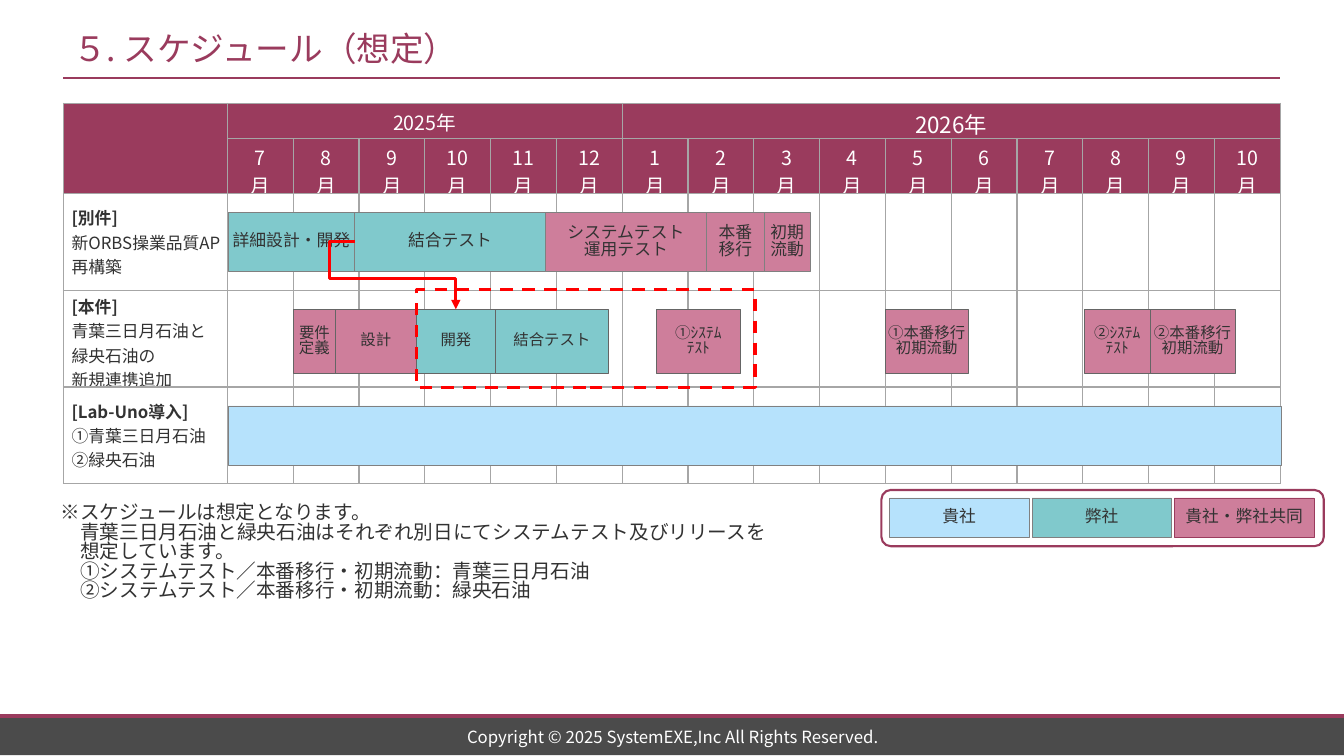
from lxml.etree import SubElement
from pptx import Presentation
from pptx.dml.color import RGBColor
from pptx.enum.dml import MSO_LINE
from pptx.enum.shapes import MSO_CONNECTOR, MSO_SHAPE
from pptx.enum.text import MSO_ANCHOR, PP_ALIGN
from pptx.oxml.ns import qn
from pptx.util import Pt

FONT = "Noto Sans CJK JP"
WINE, ROSE, TEAL, SKY = "9A3B5D", "CE7E9B", "80C9CC", "B6E2FC"
INK, GRAY, WHITE, RED = "323232", "808080", "FFFFFF", "FF0000"


def rgb(value):
    return RGBColor.from_string(value)


def write(tf, text, size=12, color=INK, align=PP_ALIGN.CENTER, spacing=None,
          bold_first=False, hang=0):
    for i, line in enumerate(text.split("\n")):
        p = tf.paragraphs[0] if i == 0 else tf.add_paragraph()
        p.alignment = align
        p.line_spacing = spacing
        if hang and i:
            p._p.get_or_add_pPr().set("marL", str(Pt(hang)))
        for j, part in enumerate(line.split("\v")):
            if j:
                p.add_line_break()
            r = p.add_run()
            r.text = part
            r.font.size = Pt(size)
            r.font.bold = bold_first and i == 0
            r.font.color.rgb = rgb(color)
            r.font.name = FONT
            SubElement(r._r.get_or_add_rPr(), qn("a:ea"), typeface=FONT)


prs = Presentation()
prs.slide_width, prs.slide_height = Pt(960), Pt(540)
s = prs.slides.add_slide(prs.slide_layouts[6])

footer = s.shapes.add_shape(MSO_SHAPE.RECTANGLE, Pt(0), Pt(511.5), Pt(960), Pt(28))
footer.shadow.inherit = False
footer.fill.solid()
footer.fill.fore_color.rgb = rgb("4B4B4B")
footer.line.fill.background()

for x1, x2, y, width in [(0, 960, 511.6, 2.75), (45.3, 914.4, 55.9, 1.5)]:
    rule = s.shapes.add_connector(MSO_CONNECTOR.STRAIGHT, Pt(x1), Pt(y), Pt(x2), Pt(y))
    rule.line.color.rgb = rgb(WINE)
    rule.line.width = Pt(width)
    SubElement(rule._element.spPr, qn("a:effectLst"))

title = s.shapes.add_textbox(Pt(45.3), Pt(14.4), Pt(869), Pt(39.6))
title.text_frame.word_wrap = False
title.text_frame.vertical_anchor = MSO_ANCHOR.MIDDLE
write(title.text_frame, "５. スケジュール（想定）", size=24, color=WINE, align=PP_ALIGN.LEFT)

MONTHS = [7, 8, 9, 10, 11, 12, 1, 2, 3, 4, 5, 6, 7, 8, 9, 10]
LABELS = [
    "[別件]\n新ORBS操業品質AP\n再構築",
    "[本件]\n青葉三日月石油と\n緑央石油の\n新規連携追加",
    "[Lab-Uno導入]\n①青葉三日月石油\n②緑央石油",
]
table = s.shapes.add_table(5, 17, Pt(45.4), Pt(73.8), Pt(869), Pt(270.8)).table
table.first_row = table.horz_banding = False
for i, col in enumerate(table.columns):
    col.width = Pt(47 if i else 117)
for row, height in zip(table.rows, [25.2, 38.3, 69.1, 69.1, 69.1]):
    row.height = Pt(height)
for i in range(5):
    for j in range(17):
        cell = table.cell(i, j)
        cell.vertical_anchor = MSO_ANCHOR.MIDDLE
        cell.margin_left = Pt(5.7 if i > 1 and j == 0 else 0)
        cell.margin_right = Pt(0)
        cell.margin_top = cell.margin_bottom = Pt(2.8)
        for side in ("a:lnL", "a:lnR", "a:lnT", "a:lnB"):
            ln = SubElement(cell._tc.get_or_add_tcPr(), qn(side), w=str(Pt(1)))
            SubElement(SubElement(ln, qn("a:solidFill")), qn("a:srgbClr"), val="A6A6A6")
        if i < 2:
            cell.fill.solid()
            cell.fill.fore_color.rgb = rgb(WINE)
        else:
            cell.fill.background()
table.cell(0, 0).merge(table.cell(1, 0))
table.cell(0, 1).merge(table.cell(0, 6))
table.cell(0, 7).merge(table.cell(0, 16))
write(table.cell(0, 1).text_frame, "2025年", size=14, color=WHITE)
write(table.cell(0, 7).text_frame, "2026年", size=16, color=WHITE)
for j, month in enumerate(MONTHS, 1):
    write(table.cell(1, j).text_frame, f"{month}\n月", size=14, color=WHITE)
for i, label in enumerate(LABELS, 2):
    write(table.cell(i, 0).text_frame, label, align=PP_ALIGN.LEFT, bold_first=True)

notes = s.shapes.add_textbox(Pt(36.2), Pt(356.4), Pt(608.4), Pt(137.5))
notes.text_frame.word_wrap = True
write(notes.text_frame,
      "※スケジュールは想定となります。\n"
      "青葉三日月石油と緑央石油はそれぞれ別日にてシステムテスト及びリリースを\v"
      "想定しています。\v"
      "①システムテスト／本番移行・初期流動：青葉三日月石油\n"
      "②システムテスト／本番移行・初期流動：緑央石油",
      size=14, align=PP_ALIGN.LEFT, spacing=0.83, hang=14)

copyright_box = s.shapes.add_textbox(Pt(239.8), Pt(517.7), Pt(481.7), Pt(17.3))
copyright_box.text_frame.word_wrap = True
copyright_box.text_frame.vertical_anchor = MSO_ANCHOR.MIDDLE
write(copyright_box.text_frame, "Copyright © 2025 SystemEXE,Inc All Rights Reserved.", color=WHITE)

BARS = [
    (MSO_SHAPE.PENTAGON, 355.7, 28, 12, [
        (635.4, 99.6, SKY, GRAY, "貴社"),
        (737.2, 99.6, TEAL, GRAY, "弊社"),
        (838.9, 99.6, ROSE, WINE, "貴社・弊社共同")]),
    (MSO_SHAPE.RECTANGLE, 151.7, 42.2, 12, [
        (163, 90.4, TEAL, GRAY, "詳細設計・開発"),
        (253.4, 136.2, TEAL, GRAY, "結合テスト"),
        (389.6, 115, ROSE, GRAY, "システムテスト\n運用テスト"),
        (504.6, 41.4, ROSE, GRAY, "本番\n移行"),
        (546, 32.6, ROSE, GRAY, "初期\n流動")]),
    (MSO_SHAPE.RECTANGLE, 221, 45.7, 11, [
        (209.5, 30.2, ROSE, "656565", "要件定義"),
        (239.7, 57.7, ROSE, "656565", "設計"),
        (297.4, 56.6, TEAL, "656565", "開発"),
        (354, 80.6, TEAL, "656565", "結合テスト"),
        (468.8, 60.2, ROSE, "656565", "①ｼｽﾃﾑ\nﾃｽﾄ"),
        (632.4, 59.2, ROSE, "656565", "①本番移行\n初期流動"),
        (774.6, 47, ROSE, "656565", "②ｼｽﾃﾑ\nﾃｽﾄ"),
        (821.6, 60.6, ROSE, "656565", "②本番移行\n初期流動")]),
    (MSO_SHAPE.PENTAGON, 289.9, 42.5, 12, [(163, 752.3, SKY, GRAY, "")]),
]
for kind, top, height, size, bars in BARS:
    for left, width, fill, line, text in bars:
        sp = s.shapes.add_shape(kind, Pt(left), Pt(top), Pt(width), Pt(height))
        if kind == MSO_SHAPE.PENTAGON:
            sp.adjustments[0] = 0
        sp.shadow.inherit = False
        sp.fill.solid()
        sp.fill.fore_color.rgb = rgb(fill)
        sp.line.color.rgb = rgb(line)
        sp.line.width = Pt(0.5)
        tf = sp.text_frame
        tf.word_wrap = True
        tf.vertical_anchor = MSO_ANCHOR.MIDDLE
        tf.margin_left = tf.margin_right = Pt(0)
        tf.margin_top = tf.margin_bottom = Pt(2.8)
        if text:
            write(tf, text, size=size, spacing=0.83)

arrow = s.shapes.add_connector(MSO_CONNECTOR.ELBOW, Pt(253.4), Pt(172.8), Pt(325.6), Pt(221))
arrow.line.color.rgb = rgb(RED)
arrow.line.width = Pt(2.25)
SubElement(arrow.line._get_or_add_ln(), qn("a:tailEnd"), type="triangle")
geom = arrow._element.spPr.find(qn("a:prstGeom"))
geom.set("prst", "bentConnector4")
guides = geom.find(qn("a:avLst"))
for name, value in [("adj1", -24900), ("adj2", 54500)]:
    SubElement(guides, qn("a:gd"), name=name, fmla=f"val {value}")
SubElement(arrow._element.spPr, qn("a:effectLst"))

FRAMES = [
    (MSO_SHAPE.ROUNDED_RECTANGLE, 629.6, 350, 316, 40.2, WINE, 1.5, MSO_LINE.SOLID),
    (MSO_SHAPE.RECTANGLE, 297.4, 207, 241.9, 69.8, RED, 2.25, MSO_LINE.DASH),
]
for kind, left, top, width, height, color, weight, dash in FRAMES:
    sp = s.shapes.add_shape(kind, Pt(left), Pt(top), Pt(width), Pt(height))
    sp.shadow.inherit = False
    sp.fill.background()
    sp.line.color.rgb = rgb(color)
    sp.line.width = Pt(weight)
    sp.line.dash_style = dash

prs.save("out.pptx")
